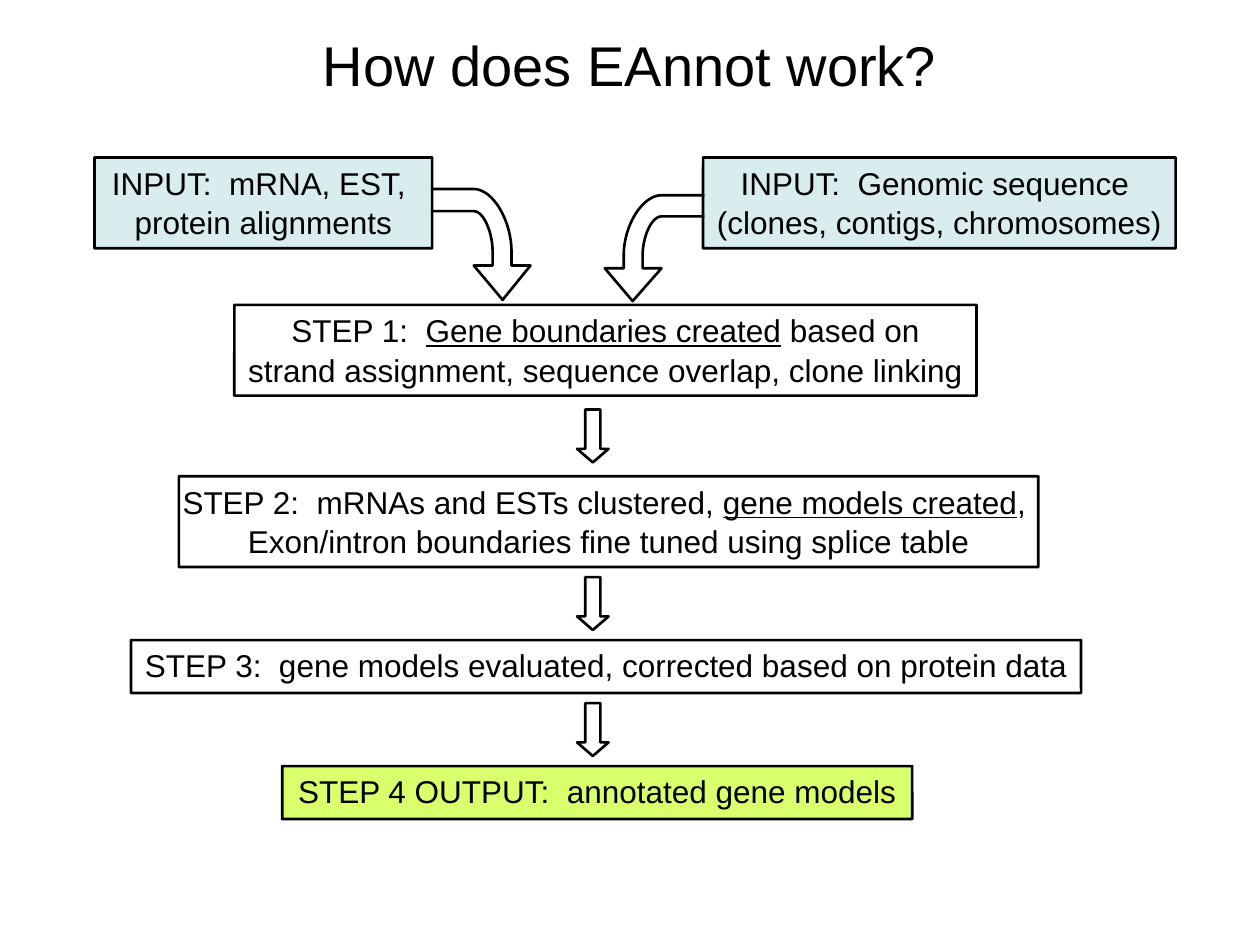
from pptx import Presentation
from pptx.dml.color import RGBColor
from pptx.enum.shapes import MSO_SHAPE
from pptx.enum.text import MSO_ANCHOR, PP_ALIGN
from pptx.util import Inches, Pt

ROUNDED = MSO_SHAPE.ROUNDED_RECTANGLE
DOWN_ARROW = MSO_SHAPE.DOWN_ARROW
TOP, MIDDLE = MSO_ANCHOR.TOP, MSO_ANCHOR.MIDDLE
CENTER = PP_ALIGN.CENTER

COLORS = {"ink": "000000", "input": "D9EDEF", "output": "D9FF6D"}
FONT = "Arial"
TWO_LINES, ONE_LINE = 0.72, 0.42

INPUTS = [
    ((0.75, 1.25, 2.68, TWO_LINES),
     [["INPUT:  mRNA, EST, "], ["protein alignments"]]),
    ((5.58, 1.25, 3.75, TWO_LINES),
     [["INPUT:  Genomic sequence "], ["(clones, contigs, chromosomes)"]]),
]
STEPS = [
    ((1.86, 2.42, 5.89, TWO_LINES),
     [["STEP 1:  ", ("Gene boundaries created",), " based on"],
      ["strand assignment, sequence overlap, clone linking"]], None),
    ((1.42, 3.78, 6.82, TWO_LINES),
     [["STEP 2:  mRNAs and ESTs clustered, ", ("gene models created",), ", "],
      ["Exon/intron boundaries fine tuned using splice table"]], None),
    ((1.04, 5.08, 7.54, ONE_LINE),
     [["STEP 3:  gene models evaluated, corrected based on protein data"]], None),
    ((2.24, 6.08, 5, ONE_LINE),
     [["STEP 4 OUTPUT:  annotated gene models"]], "output"),
]
STEP_ARROW_TOPS = [3.25, 4.58, 5.58]


def color(name):
    return RGBColor.from_string(COLORS[name])


def write(frame, lines, size=18, anchor=TOP, wrap=False, gap=1):
    frame.word_wrap = wrap
    frame.vertical_anchor = anchor
    frame.margin_left = frame.margin_right = Inches(0.1)
    frame.margin_top = frame.margin_bottom = Inches(0.05)
    for index, line in enumerate(lines):
        para = frame.add_paragraph() if index else frame.paragraphs[0]
        para.alignment = CENTER
        para.space_before = Pt(gap if index else 0)
        for part in line:
            underlined = isinstance(part, tuple)
            span = para.add_run()
            span.text = part[0] if underlined else part
            span.font.name = FONT
            span.font.size = Pt(size)
            span.font.color.rgb = color("ink")
            if underlined:
                span.font.underline = True


def style(shape, fill=None):
    shape.shadow.inherit = False
    if fill:
        shape.fill.solid()
        shape.fill.fore_color.rgb = color(fill)
    else:
        shape.fill.background()
    shape.line.color.rgb = color("ink")
    shape.line.width = Pt(1.5)


def add_title(page, box, text):
    title = page.shapes.title
    title.left, title.top, title.width, title.height = map(Inches, box)
    write(title.text_frame, [[text]], size=32, anchor=MIDDLE, wrap=True)


def add_box(page, box, lines, fill=None):
    shape = page.shapes.add_shape(ROUNDED, *map(Inches, box))
    shape.adjustments[0] = 0.002
    style(shape, fill)
    write(shape.text_frame, lines)


def add_step_arrow(page, box):
    arrow = page.shapes.add_shape(DOWN_ARROW, *map(Inches, box))
    arrow.adjustments[0] = 0.48
    arrow.adjustments[1] = 0.43
    style(arrow)


def bezier(a, b, c, d, count=16):
    points = []
    for step in range(count + 1):
        t = step / count
        weights = ((1 - t) ** 3, 3 * t * (1 - t) ** 2, 3 * t * t * (1 - t), t ** 3)
        points.append(tuple(sum(w * p for w, p in zip(weights, axis))
                            for axis in zip(a, b, c, d)))
    return points


def add_bent_arrow(page, box, mirrored=False):
    left, top, width, height = box
    outer = bezier((0.43, 0), (0.62, 0), (0.81, 0.28), (0.81, 0.57))
    head = [(0.81, 0.69), (1, 0.69), (0.72, 1), (0.43, 0.69), (0.62, 0.69)]
    inner = bezier((0.62, 0.57), (0.62, 0.39), (0.53, 0.2), (0.43, 0.2))
    outline = [(0, 0), *outer, *head, *inner, (0, 0.2)]
    points = [(Inches(left + width * (1 - x if mirrored else x)),
               Inches(top + height * y)) for x, y in outline]
    builder = page.shapes.build_freeform(*points[0])
    builder.add_line_segments(points[1:], close=False)
    style(builder.convert_to_shape())


def main():
    deck = Presentation()
    deck.slide_width, deck.slide_height = Inches(10), Inches(7.5)
    page = deck.slides.add_slide(deck.slide_layouts[5])
    add_title(page, (0.5, 0.17, 9, 0.67), "How does EAnnot work?")
    for box, lines in INPUTS:
        add_box(page, box, lines, "input")
    for box, lines, fill in STEPS:
        add_box(page, box, lines, fill)
    for top in STEP_ARROW_TOPS:
        add_step_arrow(page, (4.58, top, 0.25, 0.42))
    add_bent_arrow(page, (3.42, 1.5, 0.79, 0.88))
    add_bent_arrow(page, (4.8, 1.55, 0.79, 0.84), mirrored=True)
    deck.save("out.pptx")


if __name__ == "__main__":
    main()
